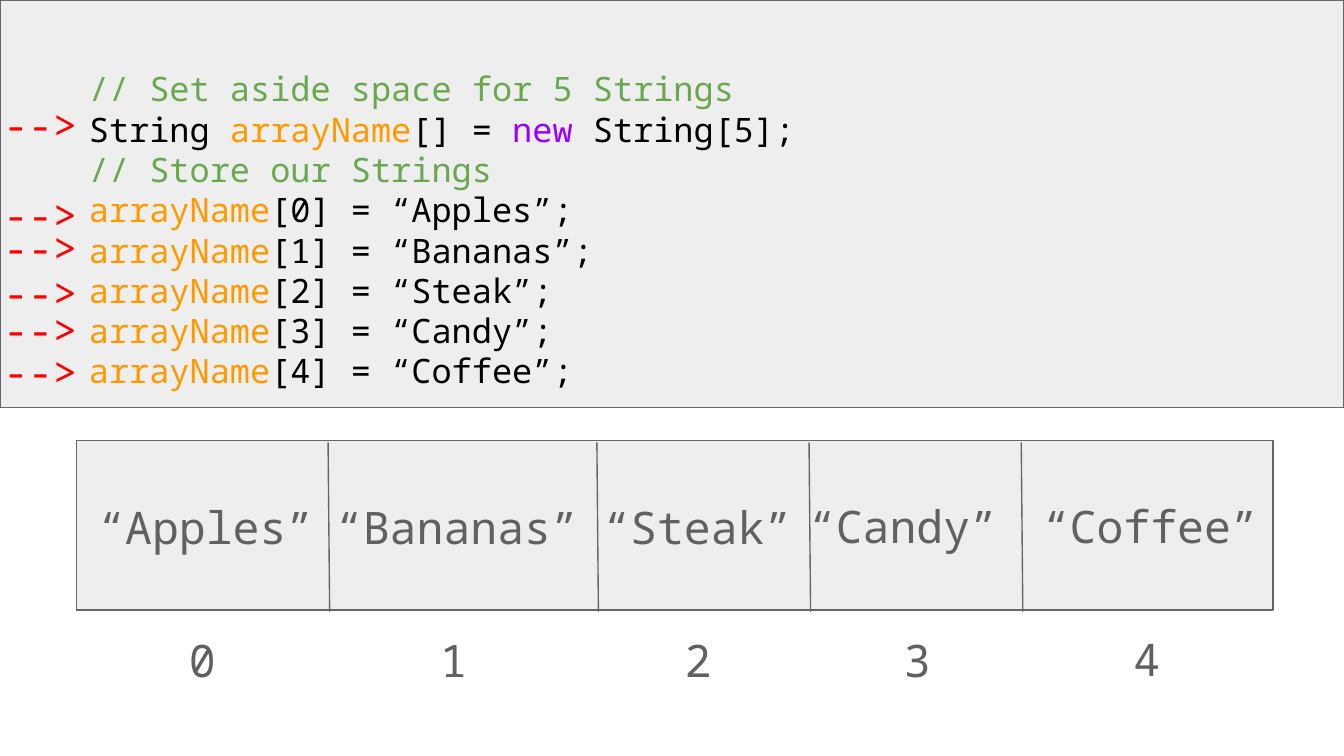
"""Build a slide that shows how a String array is declared and filled."""
from typing import NamedTuple

from lxml.etree import SubElement
from pptx import Presentation
from pptx.dml.color import RGBColor
from pptx.enum.shapes import MSO_CONNECTOR, MSO_SHAPE
from pptx.enum.text import MSO_ANCHOR, PP_ALIGN
from pptx.oxml.ns import qn
from pptx.slide import Slide
from pptx.text.text import TextFrame, _Paragraph
from pptx.util import Cm, Pt

PANEL = RGBColor(0xEE, 0xEE, 0xEE)
OUTLINE = RGBColor(0x66, 0x66, 0x66)
LABEL = RGBColor(0x61, 0x61, 0x61)
COMMENT = RGBColor(0x6A, 0xA8, 0x4F)
PLAIN = RGBColor(0x00, 0x00, 0x00)
VARIABLE = RGBColor(0xFF, 0x99, 0x00)
KEYWORD = RGBColor(0x99, 0x00, 0xFF)
POINTER = RGBColor(0xFF, 0x00, 0x00)

FONT = "Noto Sans Mono"
SLIDE_WIDTH, SLIDE_HEIGHT = 25.4, 14.29
ARRAY_LEFT, ARRAY_TOP, ARRAY_WIDTH, ARRAY_HEIGHT = 1.45, 8.33, 22.61, 3.2
DIVIDER_SLANT = 0.03
LABEL_HEIGHT = 1.85
POINTER_TOPS = (1.63, 3.33, 3.96, 4.8, 5.51, 6.3)
DIVIDERS = (6.2, 11.28, 15.29, 19.3)


class Piece(NamedTuple):
    text: str
    color: RGBColor


class Slot(NamedTuple):
    value: str
    value_left: float
    value_top: float
    index_left: float
    index_top: float


SLOTS = (
    Slot("“Apples”", 1.02, 9.04, 1.45, 11.56),
    Slot("“Bananas” ", 6.02, 9.04, 6.2, 11.56),
    Slot("“Steak”", 10.31, 9.04, 10.82, 11.56),
    Slot("“Candy” ", 14.45, 9.02, 14.96, 11.56),
    Slot("“Coffee”", 18.87, 9.02, 19.3, 11.53),
)

CODE = [
    [Piece("// Set aside space for 5 Strings", COMMENT)],
    [
        Piece("String ", PLAIN),
        Piece("arrayName", VARIABLE),
        Piece("[] = ", PLAIN),
        Piece("new", KEYWORD),
        Piece(" String[5];", PLAIN),
    ],
    [Piece("// Store our Strings", COMMENT)],
] + [
    [Piece("arrayName", VARIABLE), Piece(f"[{index}] = {slot.value.strip()};", PLAIN)]
    for index, slot in enumerate(SLOTS)
]


def add_panel(slide: Slide, left: float, top: float, width: float, height: float) -> None:
    panel = slide.shapes.add_shape(
        MSO_SHAPE.RECTANGLE, Cm(left), Cm(top), Cm(width), Cm(height)
    )
    panel.shadow.inherit = False
    panel.fill.solid()
    panel.fill.fore_color.rgb = PANEL
    panel.line.color.rgb = OUTLINE
    panel.line.width = Pt(0.75)


def add_text_frame(
    slide: Slide, left: float, top: float, width: float, height: float
) -> TextFrame:
    frame = slide.shapes.add_textbox(Cm(left), Cm(top), Cm(width), Cm(height)).text_frame
    frame.word_wrap = True
    frame.vertical_anchor = MSO_ANCHOR.TOP
    frame.margin_left = frame.margin_right = Cm(0.25)
    frame.margin_top = frame.margin_bottom = Cm(0.25)
    return frame


def add_piece(paragraph: _Paragraph, piece: Piece, size: float) -> None:
    run = paragraph.add_run()
    run.text = piece.text
    run.font.name = FONT
    run.font.size = Pt(size)
    run.font.color.rgb = piece.color


def add_code(slide: Slide) -> None:
    frame = add_text_frame(slide, 1.43, 1.04, 23.22, 6.43)
    for number, pieces in enumerate(CODE):
        paragraph = frame.add_paragraph() if number else frame.paragraphs[0]
        for piece in pieces:
            add_piece(paragraph, piece, 18)


def add_label(slide: Slide, text: str, left: float, top: float, width: float) -> None:
    paragraph = add_text_frame(slide, left, top, width, LABEL_HEIGHT).paragraphs[0]
    paragraph.alignment = PP_ALIGN.CENTER
    paragraph.line_spacing = 1.15
    paragraph.space_after = Pt(16)
    add_piece(paragraph, Piece(text, LABEL), 24)


def add_divider(slide: Slide, left: float) -> None:
    top = ARRAY_TOP + 0.03
    divider = slide.shapes.add_connector(
        MSO_CONNECTOR.STRAIGHT,
        Cm(left),
        Cm(top),
        Cm(left + DIVIDER_SLANT),
        Cm(top + ARRAY_HEIGHT),
    )
    divider.line.color.rgb = OUTLINE
    divider.line.width = Pt(0.75)
    SubElement(divider._element.spPr, qn("a:effectLst"))


def add_pointer(slide: Slide, top: float) -> None:
    frame = add_text_frame(slide, -0.18, top, 2.03, 0.99)
    add_piece(frame.paragraphs[0], Piece("-->", POINTER), 22)


def main() -> None:
    presentation = Presentation()
    presentation.slide_width = Cm(SLIDE_WIDTH)
    presentation.slide_height = Cm(SLIDE_HEIGHT)
    slide = presentation.slides.add_slide(presentation.slide_layouts[6])

    add_panel(slide, 0, 0, SLIDE_WIDTH, 7.7)
    add_code(slide)
    add_panel(slide, ARRAY_LEFT, ARRAY_TOP, ARRAY_WIDTH, ARRAY_HEIGHT)
    for left in DIVIDERS:
        add_divider(slide, left)
    for index, slot in enumerate(SLOTS):
        add_label(slide, slot.value, slot.value_left, slot.value_top, 5.74)
        add_label(slide, str(index), slot.index_left, slot.index_top, 4.75)
    for top in POINTER_TOPS:
        add_pointer(slide, top)

    presentation.save("out.pptx")


if __name__ == "__main__":
    main()
